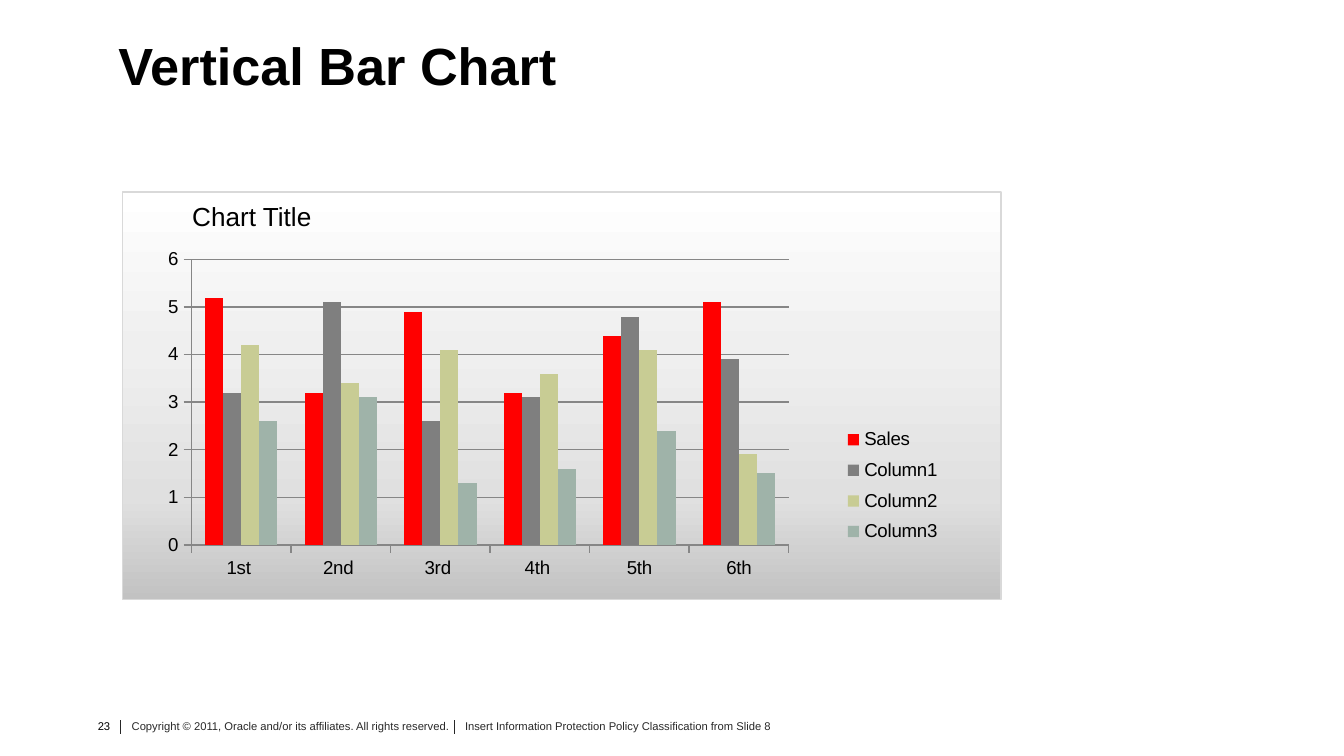
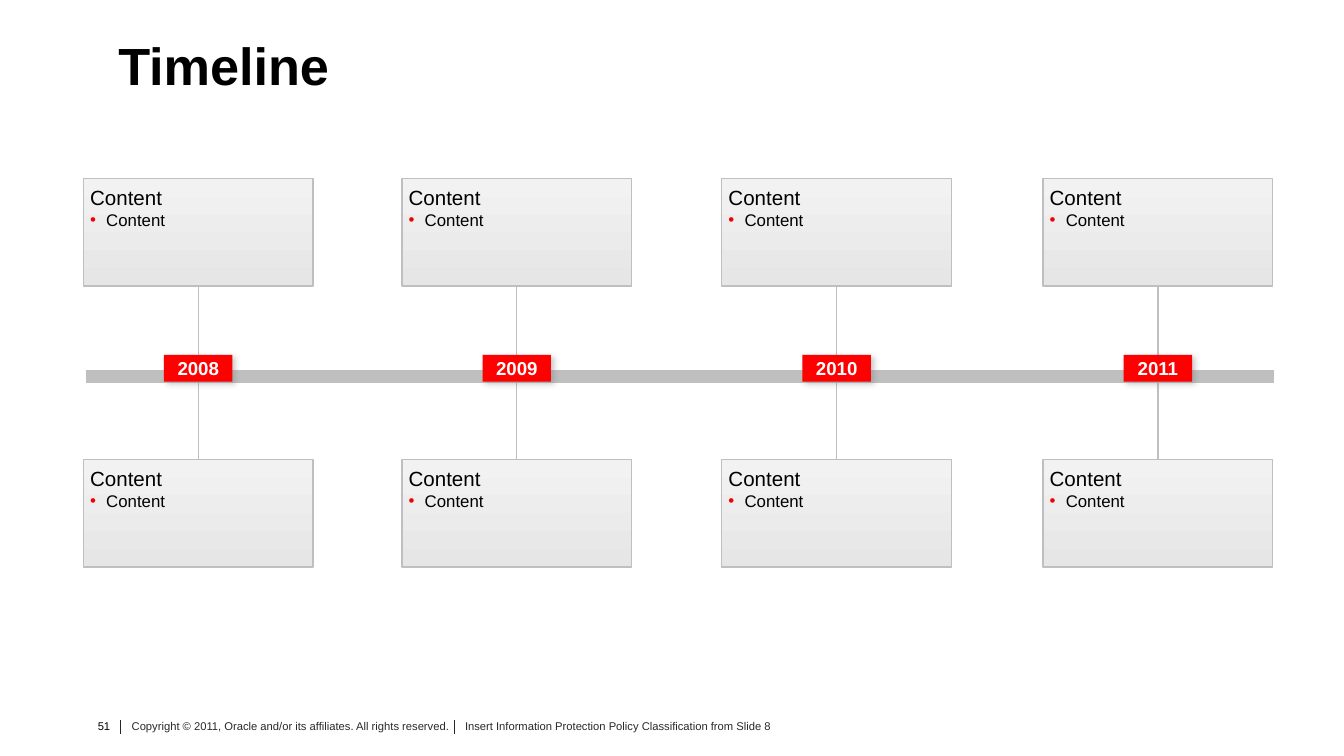
import pptx
import pptx.chart.data
import pptx.dml.color
import pptx.enum.chart
import pptx.enum.shapes
import pptx.enum.text
import pptx.oxml.ns
import pptx.util
from lxml import etree
from pptx.util import Inches

COLORS = {
    "ink": "000000", "white": "FFFFFF", "footer": "292929", "divider": "262626",
    "red": "FF0000", "bullet": "F20000", "rule": "BFBFBF", "panel_line": "D9D9D9",
    "axis": "868686", "shadow": "808080",
    "gray": "7F7F7F", "olive": "C8CC94", "sage": "9FB3A9",
}
PANEL_STOPS = [(0, "C2C2C2"), (25, "E0E0E0"), (61, "EFEFEF"), (100, "FFFFFF")]
CARD_STOPS = [(0, "E6E6E6"), (100, "F2F2F2")]
FONT = "Arial"
ANCHOR = pptx.enum.text.MSO_ANCHOR
ALIGN = pptx.enum.text.PP_ALIGN

CATEGORIES = ["1st ", "2nd ", "3rd ", "4th ", "5th", "6th"]
SERIES = [
    ("Sales", "red", (5.2, 3.2, 4.9, 3.2, 4.4, 5.1)),
    ("Column1", "gray", (3.2, 5.1, 2.6, 3.1, 4.8, 3.9)),
    ("Column2", "olive", (4.2, 3.4, 4.1, 3.6, 4.1, 1.9)),
    ("Column3", "sage", (2.6, 3.1, 1.3, 1.6, 2.4, 1.5)),
]
MILESTONES = [("2008", 0), ("2009", 2.37), ("2010", 4.75), ("2011", 7.14)]


def rgb(name):
    """Return the palette colour called name."""
    return pptx.dml.color.RGBColor.from_string(COLORS[name])


def add_xml(parent, tag, **attributes):
    """Append a namespaced child element and return it."""
    return etree.SubElement(parent, pptx.oxml.ns.qn(tag), attributes)


def style_font(font, size, color="ink", bold=False, name=FONT):
    """Set the typeface, size, colour and weight of a font."""
    font.name, font.size, font.bold = name, pptx.util.Pt(size), bold
    font.color.rgb = rgb(color)


def set_frame(frame, margins, anchor=ANCHOR.TOP):
    """Set the horizontal and vertical margins, anchor and wrapping."""
    frame.margin_left = frame.margin_right = Inches(margins[0])
    frame.margin_top = frame.margin_bottom = Inches(margins[1])
    frame.vertical_anchor, frame.word_wrap = anchor, True


def add_text(page, box, text, size, color="ink", bold=False, align=ALIGN.LEFT,
             margins=(0, 0), anchor=ANCHOR.TOP):
    """Add a text box with one paragraph."""
    frame = page.shapes.add_textbox(*map(Inches, box)).text_frame
    set_frame(frame, margins, anchor)
    para = frame.paragraphs[0]
    para.text, para.alignment = text, align
    style_font(para.font, size, color, bold)


def add_line(page, start, end, color, width):
    """Add a straight line without a shadow."""
    line = page.shapes.add_connector(
        pptx.enum.shapes.MSO_CONNECTOR.STRAIGHT, *map(Inches, (*start, *end)))
    line.line.color.rgb, line.line.width = rgb(color), pptx.util.Pt(width)
    add_xml(line._element.spPr, "a:effectLst")


def add_rectangle(page, box):
    """Add a rectangle without a shadow."""
    shape = page.shapes.add_shape(
        pptx.enum.shapes.MSO_SHAPE.RECTANGLE, *map(Inches, box))
    shape.shadow.inherit = False
    return shape


def add_gradient_panel(page, box, stops, line_color):
    """Add an outlined rectangle whose gradient runs from bottom to top."""
    shape = add_rectangle(page, box)
    shape.fill.gradient()
    shape.fill.gradient_angle = 90
    stop_list = shape._element.spPr.find(".//" + pptx.oxml.ns.qn("a:gsLst"))
    for stop in list(stop_list):
        stop_list.remove(stop)
    for position, color in stops:
        stop = add_xml(stop_list, "a:gs", pos=str(position * 1000))
        add_xml(stop, "a:srgbClr", val=color)
    shape.line.color.rgb, shape.line.width = rgb(line_color), pptx.util.Pt(0.75)
    return shape


def add_footer(page, box, number):
    """Add the page number, copyright and classification with dividers."""
    left, top, height = box
    style = {"size": 6, "margins": (0.04, 0.02)}
    add_text(page, (left, top, 0.21, height), str(number), align=ALIGN.RIGHT, **style)
    notes = [
        (0.29, "Copyright © 2011, Oracle and/or its affiliates. All rights reserved."),
        (2.77, "Insert Information Protection Policy Classification from Slide 8"),
    ]
    for offset, text in notes:
        x = left + offset
        add_text(page, (x, top, 2.47, height), text, color="footer", **style)
        add_line(page, (x - 0.04, top + 0.03), (x - 0.04, top + 0.13), "divider", 0.5)


def add_page(deck, title, number):
    """Add a blank page with the shared title and footer."""
    page = deck.slides.add_slide(deck.slide_layouts[6])
    add_footer(page, (0.65, 5.33, 0.24), number)
    add_text(page, (0.88, 0.19, 8.69, 0.58), title, 28, bold=True,
             anchor=ANCHOR.MIDDLE)
    return page


def place_layout(parent, index, box, inner=False):
    """Insert a manual chart layout at the given child index."""
    for old in parent.findall(pptx.oxml.ns.qn("c:layout")):
        parent.remove(old)
    layout = etree.Element(pptx.oxml.ns.qn("c:layout"))
    manual = add_xml(layout, "c:manualLayout")
    if inner:
        add_xml(manual, "c:layoutTarget", val="inner")
    for tag in ("c:xMode", "c:yMode"):
        add_xml(manual, tag, val="edge")
    for tag, value in zip(("c:x", "c:y", "c:w", "c:h"), box):
        add_xml(manual, tag, val=str(value))
    parent.insert(index, layout)


def add_bar_chart(page, box):
    """Add the clustered column chart with its axes and legend."""
    data = pptx.chart.data.CategoryChartData()
    data.categories = CATEGORIES
    for name, _, values in SERIES:
        data.add_series(name, values)
    chart = page.shapes.add_chart(
        pptx.enum.chart.XL_CHART_TYPE.COLUMN_CLUSTERED, *map(Inches, box), data).chart
    style_font(chart.font, 17.9, name="Calibri")
    chart.has_title = False

    plot = chart.plots[0]
    plot.gap_width, plot.overlap, plot.vary_by_categories = 150, 0, False
    for series, (_, color, _) in zip(plot.series, SERIES):
        series.format.fill.solid()
        series.format.fill.fore_color.rgb = rgb(color)

    values = chart.value_axis
    values.minimum_scale, values.maximum_scale, values.major_unit = 0, 6, 1
    values.has_major_gridlines = True
    for axis in (chart.category_axis, values):
        axis.major_tick_mark = pptx.enum.chart.XL_TICK_MARK.OUTSIDE
        style_font(axis.tick_labels.font, 10)
    for part in (chart.category_axis, values, values.major_gridlines):
        part.format.line.color.rgb = rgb("axis")
        part.format.line.width = pptx.util.Pt(0.75)

    chart.has_legend = True
    chart.legend.position = pptx.enum.chart.XL_LEGEND_POSITION.RIGHT
    chart.legend.include_in_layout = False
    style_font(chart.legend.font, 10)
    place_layout(chart.legend._element, 1, (0.81, 0.53, 0.16, 0.38))
    plot_area = chart._chartSpace.find(".//" + pptx.oxml.ns.qn("c:plotArea"))
    place_layout(plot_area, 0, (0.08, 0.07, 0.69, 0.82), inner=True)


def add_chart_panel(page, box):
    """Add the shaded panel with its chart and chart title."""
    left, top, width, height = box
    add_gradient_panel(page, box, PANEL_STOPS, "panel_line")
    add_bar_chart(page, (left, top + 0.32, width - 0.1, height - 0.44))
    add_text(page, (left + 0.47, top + 0.01, 1.64, 0.31), "Chart Title", 14,
             margins=(0.05, 0.05))


def add_card(page, box):
    """Add a content card with a heading and one bullet."""
    frame = add_gradient_panel(page, box, CARD_STOPS, "rule").text_frame
    set_frame(frame, (0.05, 0.05))
    for size, indent, bulleted in ((11, 0.06, False), (9, 0.12, True)):
        para = frame.add_paragraph() if bulleted else frame.paragraphs[0]
        para.text, para.alignment = "Content", ALIGN.LEFT
        properties = para._p.get_or_add_pPr()
        properties.set("marL", str(Inches(indent)))
        properties.set("indent", str(-Inches(indent)))
        if bulleted:
            add_xml(add_xml(properties, "a:buClr"), "a:srgbClr", val=COLORS["bullet"])
            add_xml(properties, "a:buFont", typeface=FONT)
            add_xml(properties, "a:buChar", char="•")
        style_font(para.font, size)


def add_year_tag(page, box, year):
    """Add a red year label with a soft shadow."""
    tag = add_rectangle(page, box)
    tag.fill.solid()
    tag.fill.fore_color.rgb = rgb("red")
    tag.line.fill.background()
    effects = tag._element.spPr.find(pptx.oxml.ns.qn("a:effectLst"))
    shadow = add_xml(effects, "a:outerShdw", blurRad=str(pptx.util.Pt(3)),
                     dist=str(pptx.util.Pt(2)), dir="2700000", algn="tl",
                     rotWithShape="0")
    tint = add_xml(shadow, "a:srgbClr", val=COLORS["shadow"])
    add_xml(tint, "a:alpha", val="40000")
    set_frame(tag.text_frame, (0, 0), ANCHOR.MIDDLE)
    para = tag.text_frame.paragraphs[0]
    para.text, para.alignment = year, ALIGN.CENTER
    style_font(para.font, 10, "white", True)


def add_timeline(page, box):
    """Add the time bar, with a year and two cards for each milestone."""
    left, top, width, height = box
    card_width, card_height, tag_width = 1.71, 0.8, 0.51
    lower_top = top + height - card_height
    bar_y = top + 1.47
    add_line(page, (left + 0.02, bar_y), (left + width, bar_y), "rule", 7)
    for year, offset in MILESTONES:
        x = left + offset
        center = x + card_width / 2
        add_line(page, (center, top + 0.67), (center, top + 1.34), "rule", 0.75)
        add_line(page, (center, top + 1.45), (center, lower_top + 0.04), "rule", 0.75)
        add_year_tag(page, (center - tag_width / 2, top + 1.31, tag_width, 0.2), year)
        for card_top in (top, lower_top):
            add_card(page, (x, card_top, card_width, card_height))


def main():
    """Build both pages and save the deck."""
    deck = pptx.Presentation()
    deck.slide_width, deck.slide_height = Inches(10), Inches(10 * 9 / 16)
    add_chart_panel(add_page(deck, "Vertical Bar Chart", 23), (0.91, 1.43, 6.54, 3.03))
    add_timeline(add_page(deck, "Timeline", 51), (0.62, 1.33, 8.86, 2.89))
    deck.save("out.pptx")


if __name__ == "__main__":
    main()
